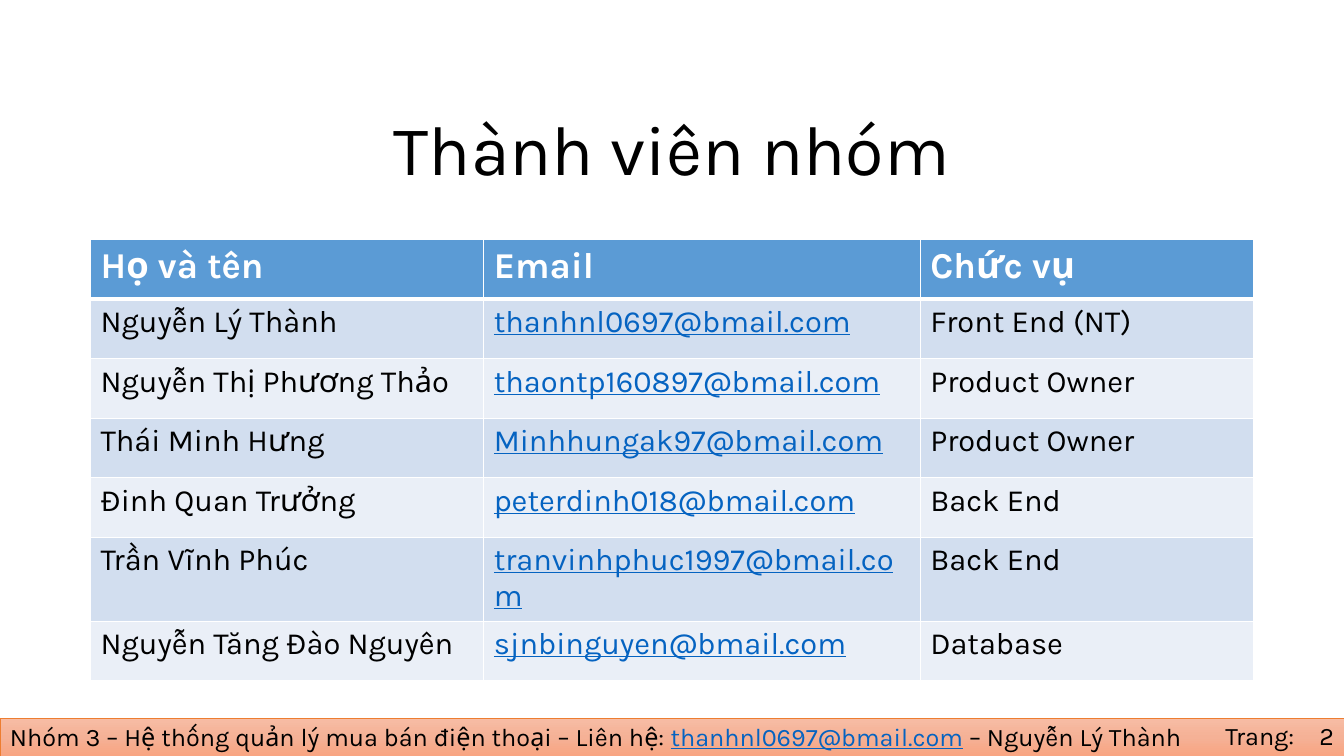
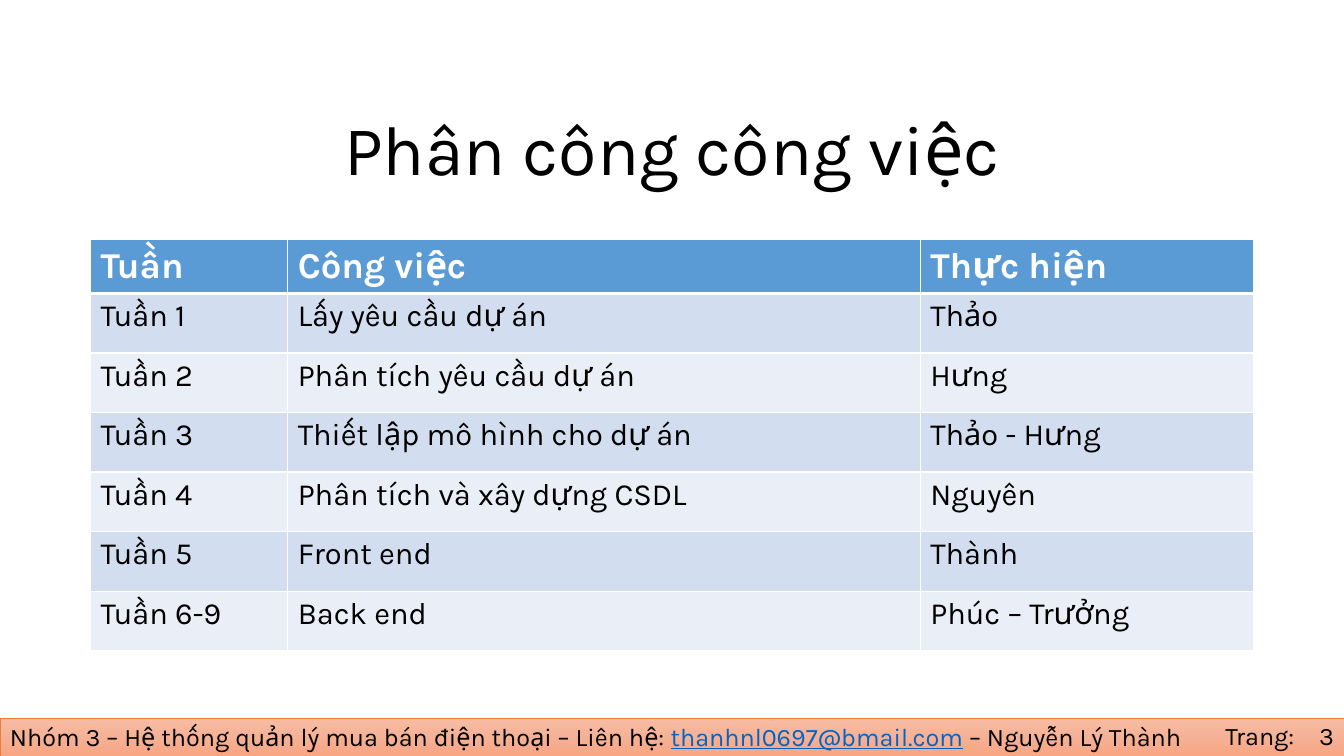
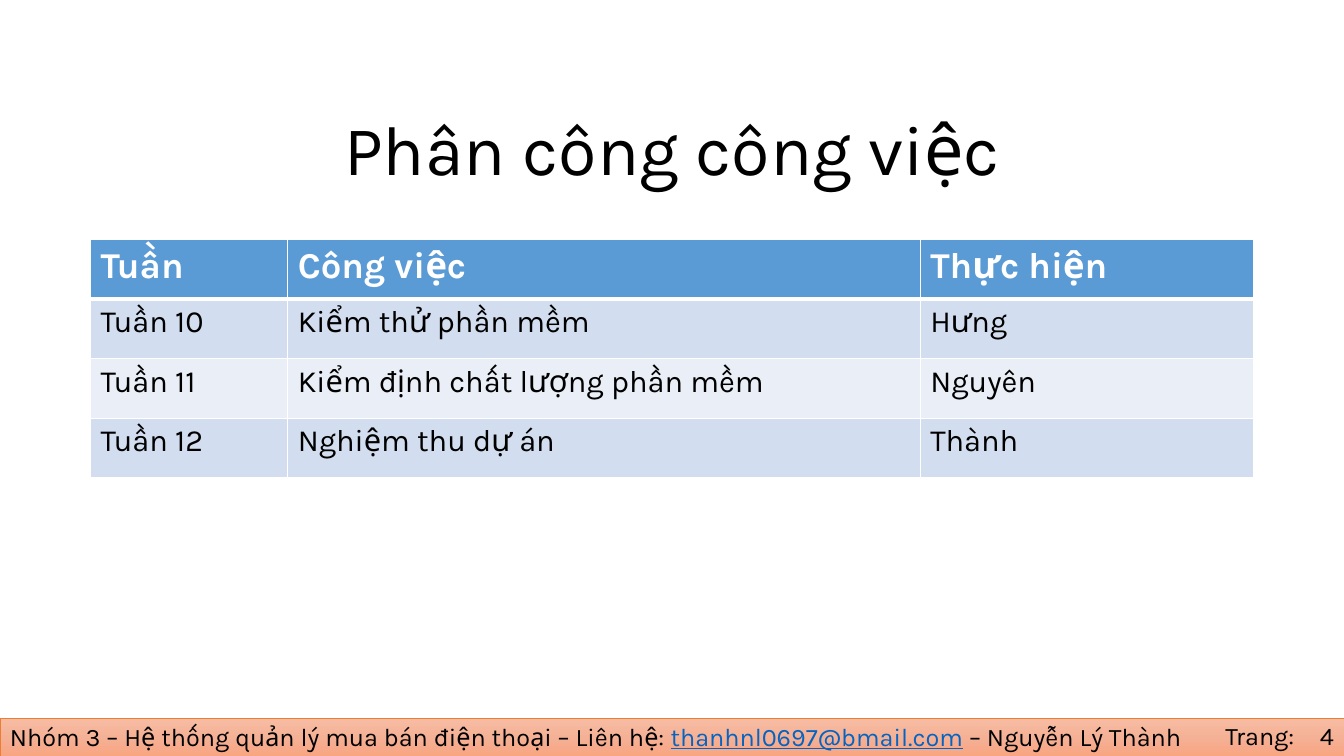
from copy import deepcopy
from dataclasses import dataclass

from lxml.etree import SubElement as Sub
from pptx import Presentation
from pptx.dml.color import RGBColor as Rgb
from pptx.enum.shapes import MSO_SHAPE as Kind
from pptx.enum.text import MSO_ANCHOR as Anchor, PP_ALIGN as Align
from pptx.oxml.ns import qn
from pptx.util import Cm, Pt


@dataclass(frozen=True)
class Theme:
    font: str = "Karla"
    ink: str = "000000"
    paper: str = "FFFFFF"
    link: str = "0563C1"
    head: str = "5B9BD5"
    bands: tuple = ("D2DEEF", "EAEFF7")
    glow: tuple = ("F7BDA5", "F5B196", "F8A582")
    edge: str = "ED7D31"
    title: int = 50
    top: int = 26
    body: int = 22
    foot: int = 18
    thin: int = 1
    thick: int = 3


@dataclass(frozen=True)
class Box:
    left: float
    top: float
    width: float
    height: float

    def lengths(self):
        return [Cm(n) for n in (self.left, self.top, self.width, self.height)]


LOOK = Theme()
WIDE, HIGH = 33.87, 19.05
TITLE = Box(4.24, 2.08, 25.4, 2.84)
TABLE = Box(2.28, 6.04, 29.32, 10.5)
FOOT = Box(0, 18.09, WIDE, 0.96)
ROW = 1.5

TEAM = (
    ("Họ và tên", "Email", "Chức vụ"),
    ("Nguyễn Lý Thành", "thanhnl0697@bmail.com", "Front End (NT)"),
    ("Nguyễn Thị Phương Thảo", "thaontp160897@bmail.com", "Product Owner"),
    ("Thái Minh Hưng", "Minhhungak97@bmail.com", "Product Owner"),
    ("Đinh Quan Trưởng", "peterdinh018@bmail.com", "Back End"),
    ("Trần Vĩnh Phúc", "tranvinhphuc1997@bmail.com", "Back End"),
    ("Nguyễn Tăng Đào Nguyên", "sjnbinguyen@bmail.com", "Database"),
)
TASK = ("Tuần", "Công việc", "Thực hiện")
EARLY = (
    TASK,
    ("Tuần 1", "Lấy yêu cầu dự án", "Thảo"),
    ("Tuần 2", "Phân tích yêu cầu dự án", "Hưng"),
    ("Tuần 3", "Thiết lập mô hình cho dự án", "Thảo - Hưng"),
    ("Tuần 4", "Phân tích và xây dựng CSDL", "Nguyên"),
    ("Tuần 5", "Front end", "Thành"),
    ("Tuần 6-9", "Back end", "Phúc – Trưởng"),
)
LATE = (
    TASK,
    ("Tuần 10", "Kiểm thử phần mềm", "Hưng"),
    ("Tuần 11", "Kiểm định chất lượng phần mềm", "Nguyên"),
    ("Tuần 12", "Nghiệm thu dự án", "Thành"),
)
TEAM_COLS = (9.91, 11, 8.41)
TASK_COLS = (4.97, 15.94, 8.41)
NOTE = (
    "Nhóm 3 – Hệ thống quản lý mua bán điện thoại – Liên hệ: ",
    TEAM[1][1],
    " – Nguyễn Lý Thành",
)
PAGES = (
    ("Thành viên nhóm", TEAM, TEAM_COLS, ROW),
    ("Phân công công việc", EARLY, TASK_COLS, 1.28),
    ("Phân công công việc", LATE, TASK_COLS, ROW),
)


def style(par, size, color=LOOK.ink, bold=False, align=Align.LEFT):
    par.alignment = align
    for run in par.runs:
        mail = "@" in run.text
        font = run.font
        font.name, font.size, font.bold = LOOK.font, Pt(size), bold
        font.underline = mail
        font.color.rgb = Rgb.from_string(LOOK.link if mail else color)


def label(slide, box, text, size, align=Align.LEFT, anchor=Anchor.TOP):
    frame = slide.shapes.add_textbox(*box.lengths()).text_frame
    frame.word_wrap = True
    frame.vertical_anchor = anchor
    frame.text = text
    par = frame.paragraphs[0]
    style(par, size, align=align)
    return par


def blend(shape, colors):
    fill = shape.fill
    fill.gradient()
    fill.gradient_angle = 270
    stops = next(shape.element.iter(qn("a:gsLst")))
    for _ in colors[2:]:
        stops.append(deepcopy(stops[0]))
    for i, (stop, color) in enumerate(zip(fill.gradient_stops, colors)):
        stop.position = i / (len(colors) - 1)
        stop.color.rgb = Rgb.from_string(color)


def footer(slide, box, page):
    bar = slide.shapes.add_shape(Kind.RECTANGLE, *box.lengths())
    bar.shadow.inherit = False
    blend(bar, LOOK.glow)
    bar.line.color.rgb = Rgb.from_string(LOOK.edge)
    bar.line.width = Pt(0.5)
    frame = bar.text_frame
    frame.word_wrap = True
    frame.vertical_anchor = Anchor.MIDDLE
    par = frame.paragraphs[0]
    for text in NOTE:
        par.add_run().text = text
    style(par, LOOK.foot)
    top, end = box.top - 0.06, box.left + box.width
    label(slide, Box(end - 3.24, top, 2.59, 1.02), "Trang:", LOOK.foot)
    label(slide, Box(end - 7.62, top, 7.62, 1.02), str(page), LOOK.foot,
          Align.RIGHT, Anchor.MIDDLE)


def border(cell, row):
    props = cell._tc.get_or_add_tcPr()
    for i, side in enumerate("LRTB"):
        heavy = (row, side) in ((0, "B"), (1, "T"))
        width = Pt(LOOK.thick if heavy else LOOK.thin)
        line = Sub(props, qn(f"a:ln{side}"), w=str(width))
        fill = Sub(line, qn("a:solidFill"))
        Sub(fill, qn("a:srgbClr"), val=LOOK.paper)
        props.insert(i, line)


def grid(slide, box, rows, cols, head):
    table = slide.shapes.add_table(len(rows), len(cols), *box.lengths()).table
    for col, width in zip(table.columns, cols):
        col.width = Cm(width)
    for r, texts in enumerate(rows):
        first = r == 0
        table.rows[r].height = Cm(head if first else ROW)
        shade = LOOK.head if first else LOOK.bands[(r - 1) % 2]
        for c, text in enumerate(texts):
            cell = table.cell(r, c)
            cell.fill.solid()
            cell.fill.fore_color.rgb = Rgb.from_string(shade)
            border(cell, r)
            cell.text_frame.text = text
            par = cell.text_frame.paragraphs[0]
            if first:
                style(par, LOOK.top, LOOK.paper, True)
            else:
                style(par, LOOK.body)


def build(deck, page, title, rows, cols, head):
    slide = deck.slides.add_slide(deck.slide_layouts[6])
    footer(slide, FOOT, page)
    par = label(slide, TITLE, title, LOOK.title, Align.CENTER, Anchor.BOTTOM)
    par.line_spacing = 0.9
    grid(slide, TABLE, rows, cols, head)


def main():
    deck = Presentation()
    deck.slide_width, deck.slide_height = Cm(WIDE), Cm(HIGH)
    for page, parts in enumerate(PAGES, 2):
        build(deck, page, *parts)
    deck.save("out.pptx")


if __name__ == "__main__":
    main()
